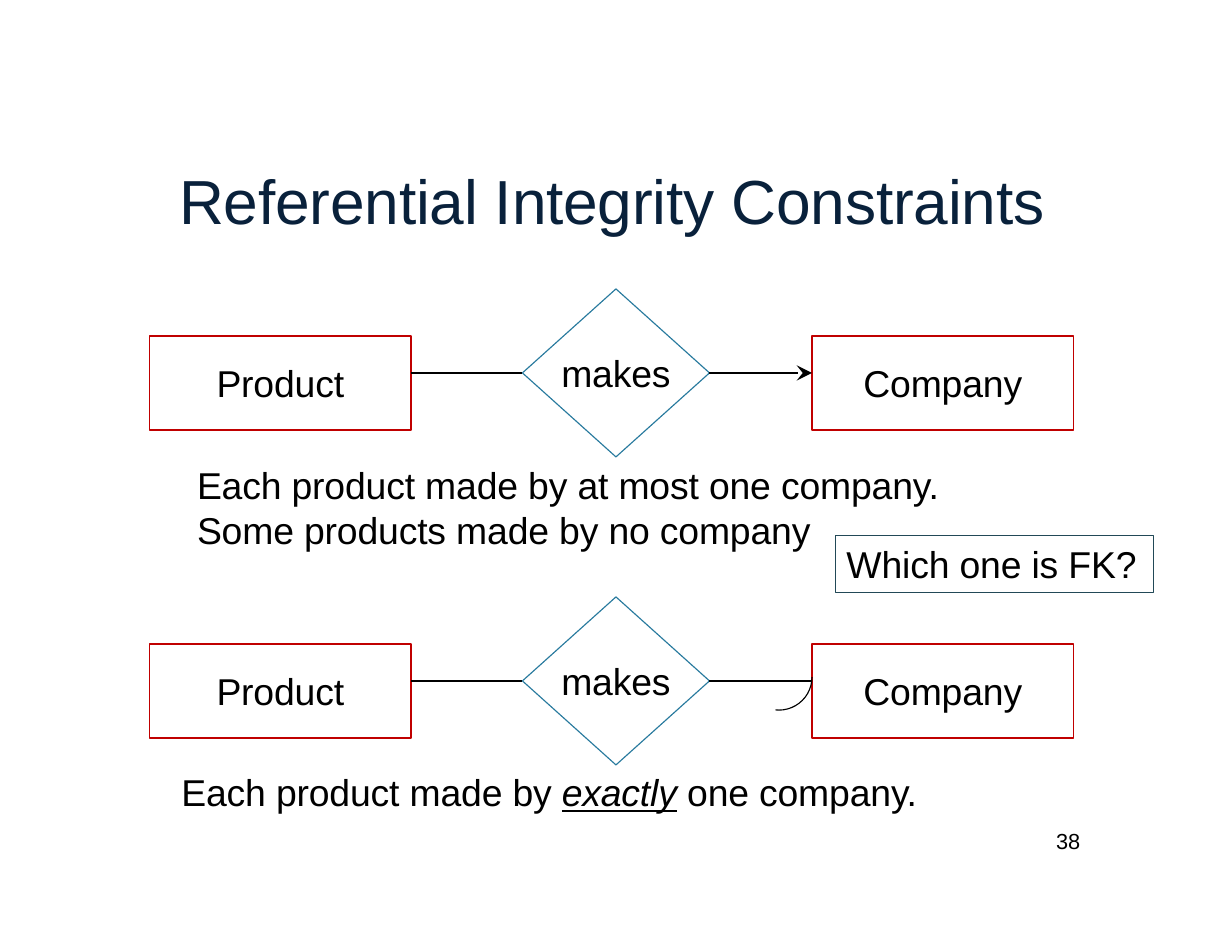
from dataclasses import dataclass

from lxml.etree import SubElement
from pptx import Presentation
from pptx.dml.color import RGBColor
from pptx.enum.shapes import MSO_CONNECTOR as Connector, MSO_SHAPE as Preset
from pptx.enum.text import MSO_ANCHOR as Anchor, PP_ALIGN as Align
from pptx.oxml.ns import qn
from pptx.util import Inches, Pt


@dataclass(frozen=True)
class Theme:
    """Colours, font, type sizes and line widths of the slide."""
    font: str = "Arial"
    title: str = "09213B"
    ink: str = "000000"
    entity: str = "C00000"
    relation: str = "287A9E"
    question: str = "224957"
    title_size: int = 40
    body_size: int = 24
    number_size: int = 14
    line: float = 0.75
    hairline: float = 0.25


@dataclass(frozen=True)
class Box:
    """A rectangle in grid cells."""
    left: float
    top: float
    width: float
    height: float

    def inside(self, left, top, width, height):
        """Return a box offset from this box's corner."""
        return Box(self.left + left, self.top + top, width, height)

    def lengths(self):
        """Return left, top, width and height as slide lengths."""
        return [grid(value) for value in (self.left, self.top, self.width, self.height)]


THEME = Theme()
COLUMNS, ROWS = 110, 85
CELL = 0.1


def grid(cells):
    """Convert grid cells to a slide length."""
    return Inches(cells * CELL)


def write(shape, text, *, size=THEME.body_size, color=THEME.ink, align=Align.LEFT,
          anchor=Anchor.TOP, emphasis=None, left=0, wrap=True):
    """Fill a shape with one formatted paragraph, with an optional emphasised part."""
    frame = shape.text_frame
    frame.word_wrap = wrap
    frame.vertical_anchor = anchor
    frame.margin_left = grid(left)
    frame.margin_right = frame.margin_top = frame.margin_bottom = 0
    paragraph = frame.paragraphs[0]
    paragraph.alignment = align
    for piece in text.partition(emphasis) if emphasis else (text,):
        run = paragraph.add_run()
        run.text = piece
        run.font.name = THEME.font
        run.font.size = Pt(size)
        run.font.color.rgb = RGBColor.from_string(color)
        if piece == emphasis:
            run.font.italic = run.font.underline = True
        run.font._element.set("spc", "-10")


def add_label(slide, box, text, **style):
    """Place a text box."""
    write(slide.shapes.add_textbox(*box.lengths()), text, **style)


def add_outline(slide, preset, box, color, width=THEME.line):
    """Place an unfilled preset shape."""
    shape = slide.shapes.add_shape(preset, *box.lengths())
    shape.shadow.inherit = False
    shape.fill.background()
    shape.line.color.rgb = RGBColor.from_string(color)
    shape.line.width = Pt(width)
    return shape


def add_link(slide, start, end, row, arrow=False):
    """Draw a horizontal link, with an arrowhead on request."""
    link = slide.shapes.add_connector(
        Connector.STRAIGHT, grid(start), grid(row), grid(end), grid(row))
    link.line.color.rgb = RGBColor.from_string(THEME.ink)
    link.line.width = Pt(THEME.line)
    if arrow:
        SubElement(link.line._get_or_add_ln(), qn("a:tailEnd"), type="stealth", w="lg", len="lg")
    SubElement(link._element.spPr, qn("a:effectLst"))


def add_relationship(slide, box, exactly_one):
    """Draw Product makes Company, ending in an arrow or a rounded bracket."""
    entity_width, entity_height, diamond_width = 23.35, 8.4, 16.7
    company_left = box.width - entity_width
    diamond_left = (box.width - diamond_width) / 2 + 0.4
    middle = {"align": Align.CENTER, "anchor": Anchor.MIDDLE, "wrap": False}
    for name, left in (("Product", 0), ("Company", company_left)):
        entity = box.inside(left, 4.2, entity_width, entity_height)
        write(add_outline(slide, Preset.RECTANGLE, entity, THEME.entity), name, **middle)
    diamond = box.inside(diamond_left, 0, diamond_width, box.height)
    write(add_outline(slide, Preset.DIAMOND, diamond, THEME.relation), "makes", **middle)

    row = box.top + box.height / 2
    add_link(slide, box.left + entity_width, diamond.left, row)
    add_link(slide, diamond.left + diamond_width, box.left + company_left, row,
             arrow=not exactly_one)
    if exactly_one:
        size = 5.9
        bracket = add_outline(
            slide, Preset.ARC, box.inside(company_left - size, 4.2, size, size), THEME.ink)
        bracket.adjustments[0] = -54
        bracket.adjustments[1] = 57.6


def add_question(slide, box):
    """Place the framed question."""
    frame = add_outline(slide, Preset.RECTANGLE, box, THEME.question, THEME.hairline)
    write(frame, "Which one is FK?", anchor=Anchor.MIDDLE, left=1, wrap=False)


def build():
    """Build and save the slide."""
    presentation = Presentation()
    presentation.slide_width, presentation.slide_height = grid(COLUMNS), grid(ROWS)
    slide = presentation.slides.add_slide(presentation.slide_layouts[6])

    add_label(slide, Box(16, 14.5, 80, 7), "Referential Integrity Constraints",
              size=THEME.title_size, color=THEME.title)
    for top, exactly_one in ((25.8, False), (53.3, True)):
        add_relationship(slide, Box(13.35, top, 82.5, 15), exactly_one)
    add_label(slide, Box(17.6, 41.3, 70, 4), "Each product made by at most one company.")
    add_label(slide, Box(17.6, 45.3, 57, 4), "Some products made by no company")
    add_label(slide, Box(16.2, 68.7, 70, 4), "Each product made by exactly one company.",
              emphasis="exactly")
    add_question(slide, Box(74.6, 47.8, 28.4, 5.1))
    add_label(slide, Box(94.3, 73.9, 3.4, 2.5), "38", size=THEME.number_size)
    presentation.save("out.pptx")


if __name__ == "__main__":
    build()
